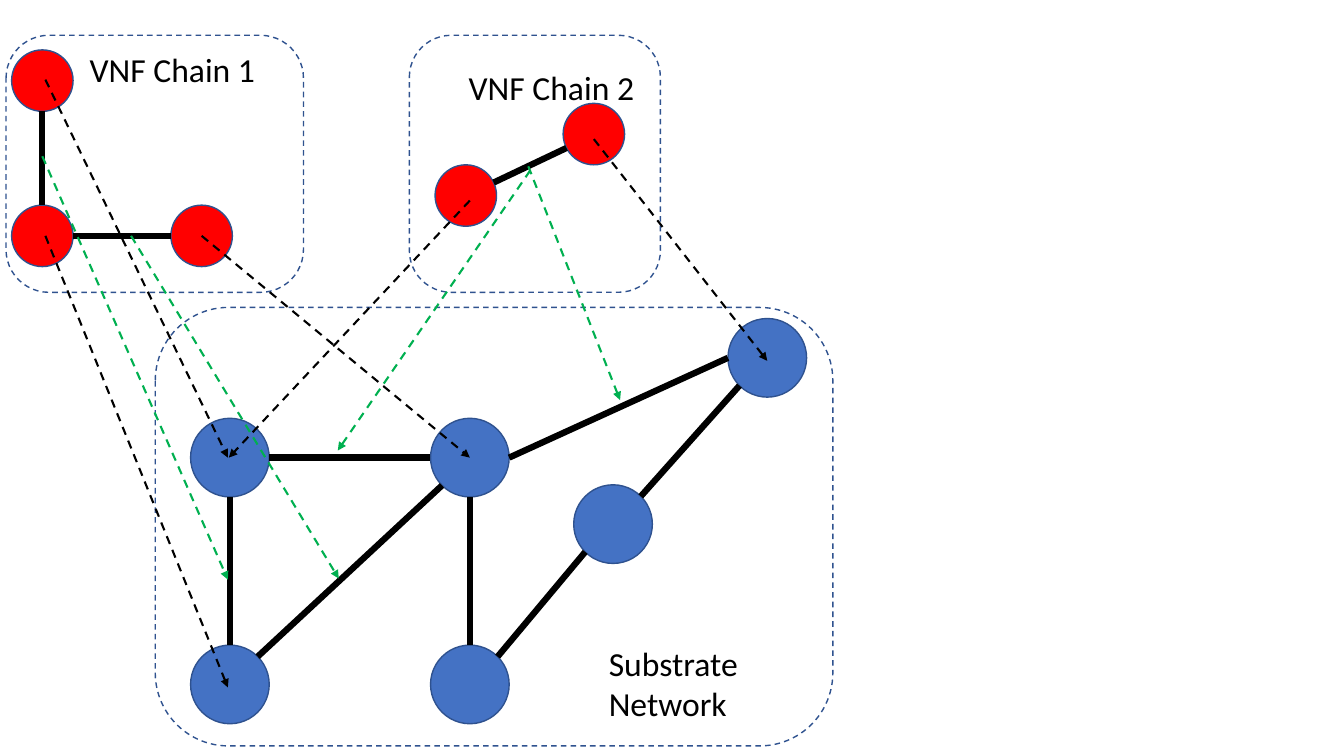
from dataclasses import dataclass
from math import cos, radians, sin

from pptx import Presentation
from pptx.dml.color import RGBColor
from pptx.enum import dml, shapes, text
from pptx.oxml import ns
from pptx.util import Inches, Pt
from lxml import etree


@dataclass(frozen=True)
class Theme:
    font: str = "Calibri"
    label_size: int = 24
    ink: str = "000000"
    outline: str = "2F528F"
    vnf: str = "FF0000"
    substrate: str = "4472C4"
    link_map: str = "00B050"
    outline_width: float = 1
    arrow_width: float = 1.5
    link_width: float = 4.5


@dataclass(frozen=True)
class Box:
    left: float
    top: float
    width: float
    height: float


@dataclass(frozen=True)
class Node:
    x: float
    y: float
    size: float
    fill: str

    def rim(self, degrees: float) -> tuple[float, float]:
        """Return the point on the rim at a clockwise angle from east."""
        angle = radians(degrees)
        return self.x + self.size / 2 * cos(angle), self.y + self.size / 2 * sin(angle)


@dataclass(frozen=True)
class Link:
    source: str
    source_angle: float
    target: str
    target_angle: float


@dataclass(frozen=True)
class Mapping:
    start: tuple[float, float]
    end: tuple[float, float]
    color: str


@dataclass(frozen=True)
class Label:
    text: str
    box: Box


THEME = Theme()
BOXES = [Box(0.06, 0.35, 2.95, 2.55), Box(4.06, 0.35, 2.49, 2.55), Box(1.54, 3.05, 6.72, 4.35)]
VNF_CENTERS = {
    "v1": (0.42, 0.8), "v2": (0.42, 2.34), "v3": (2, 2.34),
    "v4": (4.62, 1.94), "v5": (5.89, 1.33),
}
SUBSTRATE_CENTERS = {
    "s1": (2.28, 4.54), "s2": (4.66, 4.54), "s3": (2.28, 6.79),
    "s4": (4.66, 6.79), "s5": (6.08, 5.2), "s6": (7.61, 3.55),
}
NODES = {name: Node(x, y, 0.61, THEME.vnf) for name, (x, y) in VNF_CENTERS.items()}
NODES |= {name: Node(x, y, 0.78, THEME.substrate) for name, (x, y) in SUBSTRATE_CENTERS.items()}
LINKS = [
    Link("v1", 90, "v2", -90), Link("v2", 0, "v3", 180), Link("v4", -25, "v5", 153),
    Link("s1", 0, "s2", 180), Link("s1", 90, "s3", -90), Link("s3", -45, "s2", 135),
    Link("s4", -90, "s2", 90), Link("s5", -45, "s6", 135), Link("s5", 135, "s4", -45),
    Link("s2", 0, "s6", 180),
]
MAPPINGS = [
    Mapping((0.45, 0.79), (2.26, 4.54), THEME.ink),
    Mapping((0.45, 2.34), (2.26, 6.82), THEME.ink),
    Mapping((2, 2.34), (4.66, 4.54), THEME.ink),
    Mapping((5.89, 1.38), (7.61, 3.58), THEME.ink),
    Mapping((4.66, 1.99), (2.27, 4.54), THEME.ink),
    Mapping((0.42, 1.55), (2.26, 5.75), THEME.link_map),
    Mapping((1.3, 2.34), (3.36, 5.74), THEME.link_map),
    Mapping((5.24, 1.65), (6.15, 3.97), THEME.link_map),
    Mapping((5.26, 1.69), (3.35, 4.47), THEME.link_map),
]
LABELS = [
    Label("VNF Chain 1", Box(0.79, 0.44, 1.93, 0.5)),
    Label("VNF Chain 2", Box(4.55, 0.61, 1.93, 0.5)),
    Label("Substrate Network", Box(5.94, 6.33, 1.63, 0.91)),
]


def place(box: Box) -> tuple[int, int, int, int]:
    """Convert a box in inches to shape arguments."""
    return Inches(box.left), Inches(box.top), Inches(box.width), Inches(box.height)


def add_outlined(slide, kind, box: Box):
    """Add an unfilled preset shape with the shared outline."""
    sp = slide.shapes.add_shape(kind, *place(box))
    sp.shadow.inherit = False
    sp.fill.background()
    sp.line.color.rgb = RGBColor.from_string(THEME.outline)
    sp.line.width = Pt(THEME.outline_width)
    return sp


def add_box(slide, box: Box) -> None:
    """Add a dashed rounded frame."""
    sp = add_outlined(slide, shapes.MSO_SHAPE.ROUNDED_RECTANGLE, box)
    sp.line.dash_style = dml.MSO_LINE.DASH


def add_node(slide, node: Node) -> None:
    """Add a filled circle around the node centre."""
    half = node.size / 2
    box = Box(node.x - half, node.y - half, node.size, node.size)
    sp = add_outlined(slide, shapes.MSO_SHAPE.OVAL, box)
    sp.fill.solid()
    sp.fill.fore_color.rgb = RGBColor.from_string(node.fill)


def add_line(slide, start: tuple[float, float], end: tuple[float, float], color: str, width: float):
    """Add a plain straight connector."""
    cxn = slide.shapes.add_connector(
        shapes.MSO_CONNECTOR.STRAIGHT, *(Inches(value) for value in (*start, *end)))
    cxn.line.color.rgb = RGBColor.from_string(color)
    cxn.line.width = Pt(width)
    etree.SubElement(cxn._element.spPr, ns.qn("a:effectLst"))
    return cxn


def add_link(slide, link: Link) -> None:
    """Join two nodes rim to rim."""
    start = NODES[link.source].rim(link.source_angle)
    end = NODES[link.target].rim(link.target_angle)
    add_line(slide, start, end, THEME.ink, THEME.link_width)


def add_mapping(slide, mapping: Mapping) -> None:
    """Add a dashed arrow from a chain element to the substrate."""
    cxn = add_line(slide, mapping.start, mapping.end, mapping.color, THEME.arrow_width)
    cxn.line.dash_style = dml.MSO_LINE.DASH
    etree.SubElement(cxn.line._get_or_add_ln(), ns.qn("a:tailEnd"), type="triangle")


def add_label(slide, label: Label) -> None:
    """Add a wrapped text label."""
    tf = slide.shapes.add_textbox(*place(label.box)).text_frame
    tf.word_wrap = True
    tf.auto_size = text.MSO_AUTO_SIZE.SHAPE_TO_FIT_TEXT
    p = tf.paragraphs[0]
    p.text = label.text
    p.font.name = THEME.font
    p.font.size = Pt(THEME.label_size)
    p.font.color.rgb = RGBColor.from_string(THEME.ink)


def main() -> None:
    """Build and save the network mapping slide."""
    prs = Presentation()
    prs.slide_width, prs.slide_height = Inches(13.33), Inches(7.5)
    slide = prs.slides.add_slide(prs.slide_layouts[6])
    for box in BOXES:
        add_box(slide, box)
    for node in NODES.values():
        add_node(slide, node)
    for link in LINKS:
        add_link(slide, link)
    for mapping in MAPPINGS:
        add_mapping(slide, mapping)
    for label in LABELS:
        add_label(slide, label)
    prs.save("out.pptx")


if __name__ == "__main__":
    main()
